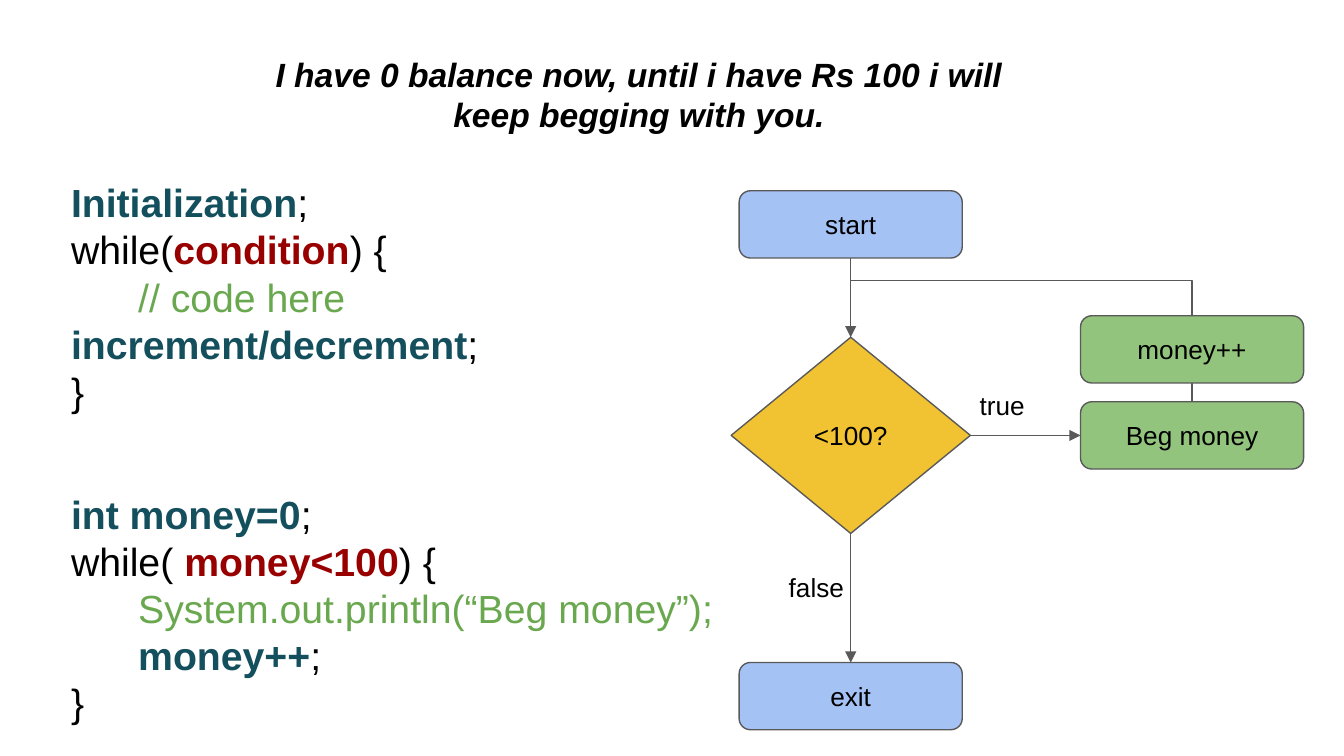
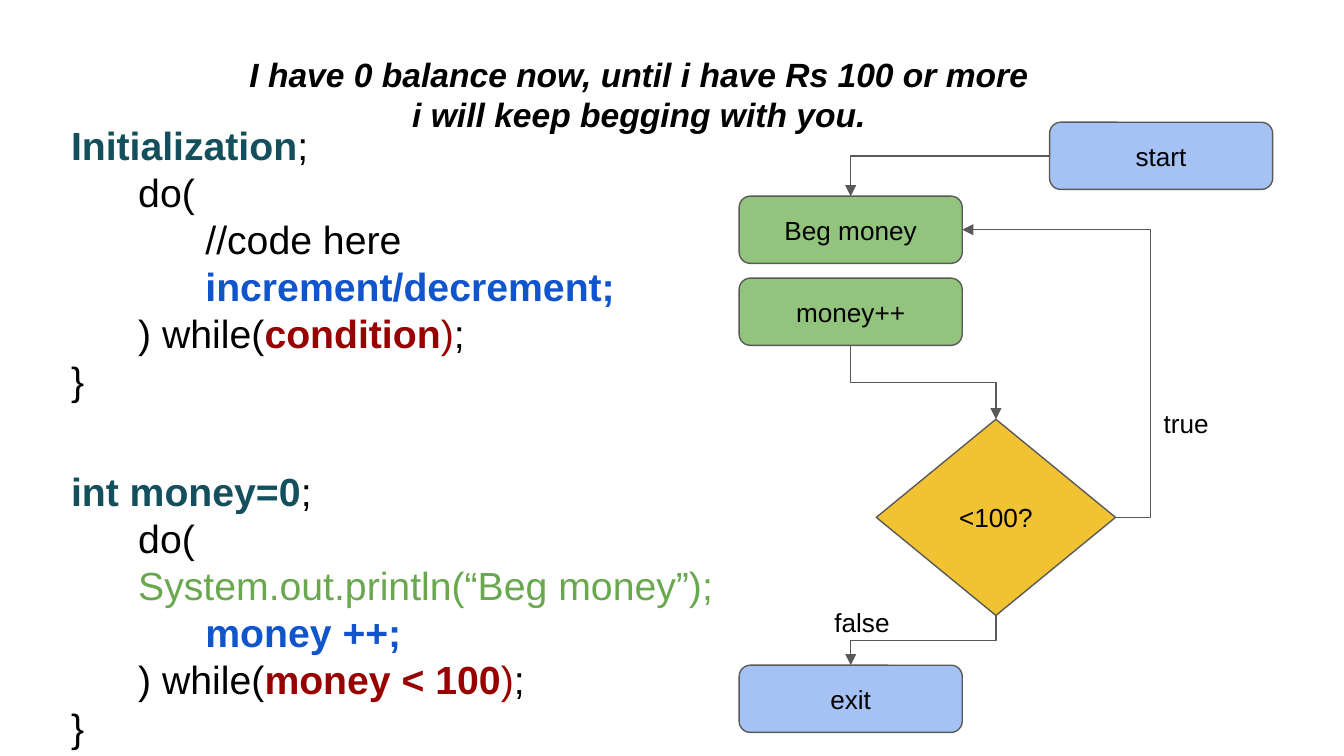
from dataclasses import dataclass
from typing import Any

from lxml import etree
from pptx import Presentation
from pptx.dml.color import RGBColor
from pptx.enum import shapes, text
from pptx.oxml.ns import qn
from pptx.util import Inches, Pt

FONT = "Arial"
BLACK = RGBColor(0x00, 0x00, 0x00)
TEAL = RGBColor(0x13, 0x4F, 0x5C)
RED = RGBColor(0x98, 0x00, 0x00)
LEAF = RGBColor(0x6A, 0xA8, 0x4F)
ROYAL = RGBColor(0x11, 0x55, 0xCC)
GREY = RGBColor(0x59, 0x59, 0x59)
BLUE_FILL = RGBColor(0xA4, 0xC2, 0xF4)
GREEN_FILL = RGBColor(0x93, 0xC4, 0x7D)
GOLD_FILL = RGBColor(0xF1, 0xC2, 0x32)

PLAIN = (BLACK, False)
STEP = (TEAL, True)
CONDITION = (RED, True)
CLOSING = (RED, False)
BODY = (LEAF, False)
UPDATE = (ROYAL, True)

FLUSH, TAB, DEEP = (0, 0), (0, 0.5), (0.5, 0.5)
NODE_SIZE = (1.66, 0.5)
DIAMOND_SIZE = (1.78, 1.46)
TOP, LEFT, BOTTOM, RIGHT = range(4)


def add_span(para, words, size, colour=BLACK, bold=False, italic=False):
    """Add one run of text to a paragraph."""
    span = para.add_run()
    span.text = words
    font = span.font
    font.name, font.size, font.bold, font.italic = FONT, Pt(size), bold, italic
    font.color.rgb = colour


def set_insets(frame):
    """Give a text frame wrapping and equal insets."""
    frame.word_wrap = True
    frame.margin_left = frame.margin_right = Inches(0.1)
    frame.margin_top = frame.margin_bottom = Inches(0.1)


def add_text_box(page, left, top, width, height):
    """Add an empty text box that grows with its text and return its frame."""
    box = page.shapes.add_textbox(Inches(left), Inches(top), Inches(width), Inches(height))
    set_insets(box.text_frame)
    box.text_frame.auto_size = text.MSO_AUTO_SIZE.SHAPE_TO_FIT_TEXT
    return box.text_frame


def add_title(page, words):
    """Add the centred bold italic sentence at the head of a slide."""
    para = add_text_box(page, 1.7, 0.3, 6.11, 0.81).paragraphs[0]
    para.alignment = text.PP_ALIGN.CENTER
    add_span(para, words, 18, bold=True, italic=True)


def add_code(page, top, lines):
    """Add a block of coloured code lines, each with its margin and indent."""
    frame = add_text_box(page, 0.43, top, 5.42, 0.2 + 0.35 * len(lines))
    for number, ((margin, indent), *spans) in enumerate(lines):
        para = frame.add_paragraph() if number else frame.paragraphs[0]
        properties = para._p.get_or_add_pPr()
        properties.set("marL", str(Inches(margin)))
        properties.set("indent", str(Inches(indent)))
        for words, (colour, bold) in spans:
            add_span(para, words, 21, colour, bold)


def side_point(shape, side):
    """Return the middle of one side of a shape."""
    across = {LEFT: 0, RIGHT: 2}.get(side, 1)
    down = {TOP: 0, BOTTOM: 2}.get(side, 1)
    return shape.left + shape.width * across // 2, shape.top + shape.height * down // 2


def style_line(link, arrow):
    """Give a connector its grey line and, if wanted, an arrowhead."""
    link.line.color.rgb = GREY
    link.line.width = Pt(0.75)
    if arrow:
        etree.SubElement(link.line._get_or_add_ln(), qn("a:tailEnd"), type="triangle")
    etree.SubElement(link._element.spPr, qn("a:effectLst"))


def turn_upright(link, begin, end):
    """Rotate an elbow so that it leaves its start downwards."""
    width, height = abs(end[1] - begin[1]), abs(end[0] - begin[0])
    link.left = (begin[0] + end[0] - width) // 2
    link.top = (begin[1] + end[1] - height) // 2
    link.width, link.height = width, height
    frame = link._element.spPr.find(qn("a:xfrm"))
    for flip in ("flipH", "flipV"):
        frame.attrib.pop(flip, None)
    if end[0] > begin[0]:
        frame.set("rot", str(270 * 60000))
        frame.set("flipH", "1")
    else:
        frame.set("rot", str(90 * 60000))


@dataclass
class Flow:
    """A flowchart whose parts are placed from its top left corner."""

    page: Any
    left: float
    top: float

    def node(self, words, left, top, fill, kind=shapes.MSO_SHAPE.ROUNDED_RECTANGLE, size=NODE_SIZE):
        """Add a filled step with centred text."""
        shape = self.page.shapes.add_shape(
            kind, Inches(self.left + left), Inches(self.top + top), *map(Inches, size))
        shape.shadow.inherit = False
        shape.fill.solid()
        shape.fill.fore_color.rgb = fill
        shape.line.color.rgb = GREY
        shape.line.width = Pt(0.75)
        set_insets(shape.text_frame)
        shape.text_frame.vertical_anchor = text.MSO_ANCHOR.MIDDLE
        para = shape.text_frame.paragraphs[0]
        para.alignment = text.PP_ALIGN.CENTER
        add_span(para, words, 14)
        return shape

    def decision(self, left, top):
        """Add the diamond that tests the balance."""
        return self.node("<100?", left, top, GOLD_FILL, shapes.MSO_SHAPE.DIAMOND, DIAMOND_SIZE)

    def label(self, words, left, top, width):
        """Add the name of a branch."""
        frame = add_text_box(self.page, self.left + left, self.top + top, width, 0.44)
        add_span(frame.paragraphs[0], words, 14)

    def straight(self, begin, begin_side, end, end_side, arrow=True):
        """Join two steps with a straight connector."""
        link = self.page.shapes.add_connector(
            shapes.MSO_CONNECTOR.STRAIGHT, *side_point(begin, begin_side), *side_point(end, end_side))
        link.begin_connect(begin, begin_side)
        link.end_connect(end, end_side)
        style_line(link, arrow)

    def elbow(self, begin, begin_side, end, end_side, bend=0.5):
        """Join two steps with an elbow; without a bend it has one corner."""
        start, stop = side_point(begin, begin_side), side_point(end, end_side)
        link = self.page.shapes.add_connector(shapes.MSO_CONNECTOR.ELBOW, *start, *stop)
        if begin_side in (TOP, BOTTOM):
            turn_upright(link, start, stop)
        outline = link._element.spPr.find(qn("a:prstGeom"))
        if bend is None:
            outline.set("prst", "bentConnector2")
        else:
            guides = outline.find(qn("a:avLst"))
            etree.SubElement(guides, qn("a:gd"), name="adj1", fmla=f"val {round(bend * 100000)}")
        style_line(link, True)


def draw_while_flow(page, left, top):
    """Draw the loop that tests before it begs."""
    flow = Flow(page, left, top)
    start = flow.node("start", 0.06, 0, BLUE_FILL)
    test = flow.decision(0, 1.09)
    raise_money = flow.node("money++", 2.6, 0.93, GREEN_FILL)
    beg = flow.node("Beg money", 2.6, 1.57, GREEN_FILL)
    leave = flow.node("exit", 0.06, 3.51, BLUE_FILL)
    flow.straight(start, BOTTOM, test, TOP, arrow=False)
    flow.straight(test, RIGHT, beg, LEFT)
    flow.straight(beg, TOP, raise_money, BOTTOM, arrow=False)
    flow.straight(test, BOTTOM, leave, TOP)
    flow.elbow(raise_money, TOP, test, TOP, bend=-1.65)
    flow.label("true", 1.75, 1.38, 1.01)
    flow.label("false", 0.33, 2.73, 0.76)


def draw_do_flow(page, left, top):
    """Draw the loop that begs before it tests."""
    flow = Flow(page, left, top)
    start = flow.node("start", 2.31, 0, BLUE_FILL)
    beg = flow.node("Beg money", 0, 0.55, GREEN_FILL)
    raise_money = flow.node("money++", 0, 1.16, GREEN_FILL)
    test = flow.decision(1.02, 2.21)
    leave = flow.node("exit", 0, 4.04, BLUE_FILL)
    flow.elbow(start, LEFT, beg, TOP, bend=None)
    flow.elbow(raise_money, BOTTOM, test, TOP)
    flow.elbow(test, BOTTOM, leave, TOP)
    flow.elbow(test, RIGHT, beg, RIGHT, bend=-0.23)
    flow.label("true", 3.06, 2.02, 1.01)
    flow.label("false", 0.61, 3.5, 0.76)


def build_while_page(page):
    """Build the slide on the while loop."""
    add_title(page, "I have 0 balance now, until i have Rs 100 i will keep begging with you.")
    draw_while_flow(page, 5.44, 1.42)
    add_code(page, 1.23, [
        (FLUSH, ("Initialization", STEP), (";", PLAIN)),
        (FLUSH, ("while(", PLAIN), ("condition", CONDITION), (") {", PLAIN)),
        (TAB, ("// code here", BODY)),
        (FLUSH, ("increment/decrement", STEP), (";", PLAIN)),
        (FLUSH, ("}", PLAIN)),
    ])
    add_code(page, 3.55, [
        (FLUSH, ("int money=0", STEP), (";", PLAIN)),
        (FLUSH, ("while( ", PLAIN), ("money<100", CONDITION), (") {", PLAIN)),
        (TAB, ("System.out.println(“Beg money”);", BODY)),
        (TAB, ("money++", STEP), (";", PLAIN)),
        (FLUSH, ("}", PLAIN)),
    ])


def do_lines(opening, body, update, condition):
    """Return the code lines of a do loop."""
    return [
        (FLUSH, (opening, STEP), (";", PLAIN)),
        (TAB, ("do(", PLAIN)),
        body,
        (DEEP, (update, UPDATE)),
        (TAB, (") while(", PLAIN), (condition, CONDITION), (")", CLOSING), (";", PLAIN)),
        (FLUSH, ("}", PLAIN)),
    ]


def build_do_page(page):
    """Build the slide on the do loop."""
    add_title(page, "I have 0 balance now, until i have Rs 100 or more i will keep begging with you.")
    draw_do_flow(page, 5.5, 0.91)
    add_code(page, 0.8, do_lines(
        "Initialization", (DEEP, ("//code here", PLAIN)), "increment/decrement;", "condition"))
    add_code(page, 3.38, do_lines(
        "int money=0", (TAB, ("System.out.println(“Beg money”);", BODY)), "money ++;", "money < 100"))


def main():
    """Build and save the deck."""
    deck = Presentation()
    deck.slide_width = Inches(10)
    deck.slide_height = deck.slide_width * 9 // 16
    for build_page in (build_while_page, build_do_page):
        build_page(deck.slides.add_slide(deck.slide_layouts[6]))
    deck.save("out.pptx")


if __name__ == "__main__":
    main()
